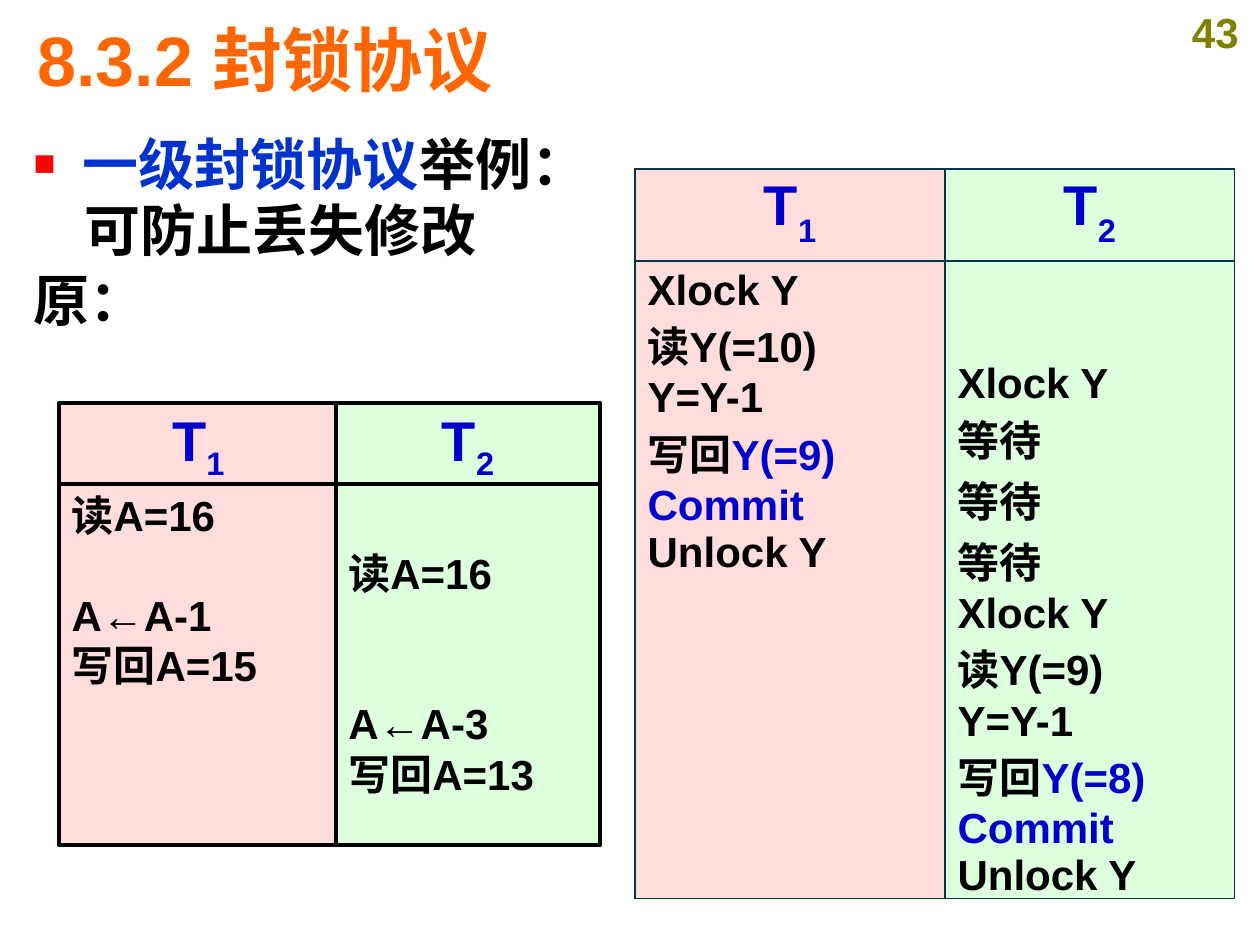
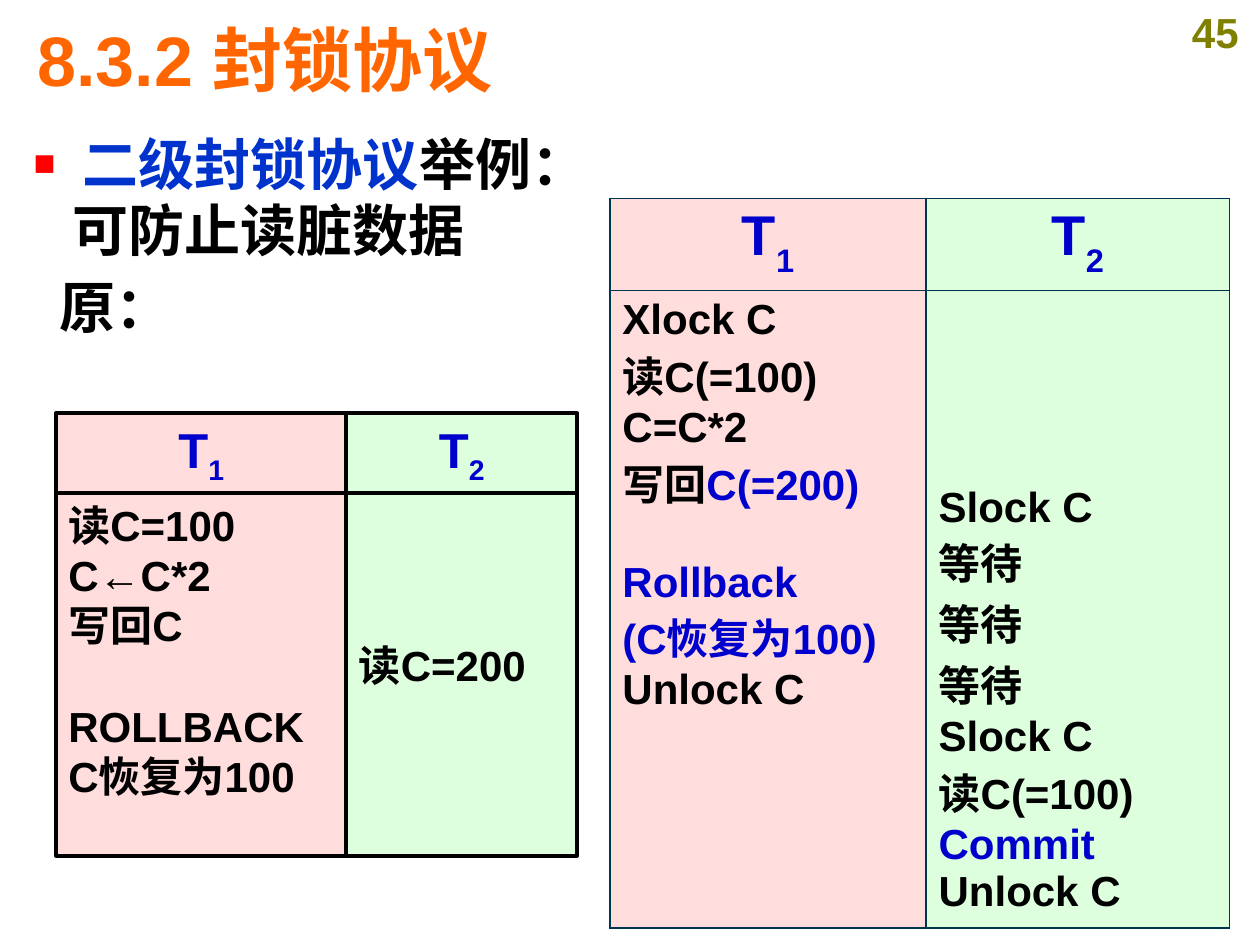
"""Build two slides comparing lost-update and dirty-read schedules with locking protocols."""
from collections import namedtuple

import pptx
import pptx.dml.color
import pptx.enum.shapes
import pptx.enum.text
import pptx.oxml
import pptx.oxml.ns
import pptx.util

Pt = pptx.util.Pt
RGBColor = pptx.dml.color.RGBColor
PP_ALIGN = pptx.enum.text.PP_ALIGN
MSO_ANCHOR = pptx.enum.text.MSO_ANCHOR

ORANGE = RGBColor(0xFF, 0x66, 0x00)
OLIVE = RGBColor(0x80, 0x80, 0x00)
ROYAL = RGBColor(0x00, 0x33, 0xCC)
BLUE = RGBColor(0x00, 0x00, 0xCC)
BLACK = RGBColor(0x00, 0x00, 0x00)
PINK = RGBColor(0xFF, 0xDD, 0xDD)
MINT = RGBColor(0xDD, 0xFF, 0xDD)
GRID = RGBColor(0x00, 0x35, 0x4E)
COLUMN_FILLS = (PINK, MINT)

Step = namedtuple("Step", "black blue gap", defaults=("", "", 0))
Point = namedtuple("Point", "text indent gap")

TITLE = "8.3.2 封锁协议"
STEP_SIZE = 24
STEP_LINE = 26.8
WAITS = [Step("等待")] * 3

SLIDES = [
    {
        "number": "43",
        "protocol": "一级封锁协议",
        "points": [Point("可防止丢失修改", 29, 6), Point("原：", 0, 8)],
        "before": {
            "top": 230.4, "head_height": 46, "body_height": 206.6, "head_size": 32,
            "columns": [(33.8, 159), (192, 151)],
            "insets": (3.6, 36.5),
            "steps": [
                [Step("读A=16"), Step("A←A-1", gap=28), Step("写回A=15")],
                [Step("读A=16"), Step("A←A-3", gap=57), Step("写回A=13")],
            ],
        },
        "locked": {
            "left": 362.9, "top": 96.5, "widths": (177.1, 165.6), "waiting_lines": (0, 2),
            "steps": [
                [Step("Xlock Y"), Step("读Y(=10)"), Step("Y=Y-1"), Step("写回", "Y(=9)"),
                 Step(blue="Commit"), Step("Unlock Y")],
                [Step("Xlock Y"), *WAITS, Step("Xlock Y"), Step("读Y(=9)"), Step("Y=Y-1"),
                 Step("写回", "Y(=8)"), Step(blue="Commit"), Step("Unlock Y")],
            ],
        },
    },
    {
        "number": "45",
        "protocol": "二级封锁协议",
        "points": [Point("可防止读脏数据", 22, 6), Point("原：", 15, 12)],
        "before": {
            "top": 236.2, "head_height": 45.4, "body_height": 207.4, "head_size": 28,
            "columns": [(32, 166), (198, 131.8)],
            "insets": (3.6, 83.6),
            "steps": [
                [Step("读C=100"), Step("C←C*2"), Step("写回C"),
                 Step("ROLLBACK", gap=28.5), Step("C恢复为100")],
                [Step("读C=200")],
            ],
        },
        "locked": {
            "left": 348.5, "top": 113.5, "widths": (180.7, 173.5), "waiting_lines": (0, 4),
            "steps": [
                [Step("Xlock C"), Step("读C(=100)"), Step("C=C*2"), Step("写回", "C(=200)"),
                 Step(blue="Rollback", gap=STEP_LINE), Step(blue="(C恢复为100)"),
                 Step("Unlock C")],
                [Step("Slock C"), *WAITS, Step("Slock C"), Step("读C(=100)"),
                 Step(blue="Commit"), Step("Unlock C")],
            ],
        },
    },
]


def add_run(paragraph, text, size, color, baseline=0):
    run = paragraph.add_run()
    run.text = text
    run.font.name = "Arial"
    run.font.size = Pt(size)
    run.font.bold = True
    run.font.color.rgb = color
    if baseline:
        run._r.get_or_add_rPr().set("baseline", str(baseline * 1000))


def next_paragraph(frame, index):
    return frame.add_paragraph() if index else frame.paragraphs[0]


def write_heading(frame, number, size, baseline):
    paragraph = frame.paragraphs[0]
    paragraph.alignment = PP_ALIGN.CENTER
    add_run(paragraph, "T", size, BLUE)
    add_run(paragraph, str(number), size, BLUE, baseline)


def write_steps(frame, steps):
    for index, step in enumerate(steps):
        paragraph = next_paragraph(frame, index)
        paragraph.alignment = PP_ALIGN.LEFT
        if step.gap:
            paragraph.space_before = Pt(step.gap)
        for text, color in ((step.black, BLACK), (step.blue, BLUE)):
            if text:
                add_run(paragraph, text, STEP_SIZE, color)


def add_text(slide, left, top, width, height, anchor=MSO_ANCHOR.TOP):
    frame = slide.shapes.add_textbox(Pt(left), Pt(top), Pt(width), Pt(height)).text_frame
    frame.word_wrap = True
    frame.vertical_anchor = anchor
    return frame


def add_points(slide, protocol, points):
    frame = add_text(slide, 12.2, 77, 342.7, 436.3)
    for index, point in enumerate([Point("", 28, 0), *points]):
        paragraph = next_paragraph(frame, index)
        paragraph.line_spacing = 0.83
        properties = paragraph._p.get_or_add_pPr()
        properties.set("marL", str(Pt(point.indent)))
        if index:
            paragraph.space_before = Pt(point.gap)
            add_run(paragraph, point.text, 32, BLACK)
            continue
        properties.set("indent", str(-Pt(point.indent)))
        namespace = pptx.oxml.ns.nsdecls("a")
        for bullet in (f'<a:buClr {namespace}><a:srgbClr val="FF0000"/></a:buClr>',
                       f'<a:buSzPct {namespace} val="65000"/>',
                       f'<a:buFont {namespace} typeface="Arial"/>',
                       f'<a:buChar {namespace} char="■"/>'):
            properties.append(pptx.oxml.parse_xml(bullet))
        add_run(paragraph, protocol, 32, ROYAL)
        add_run(paragraph, "举例：", 32, BLACK)


def add_box(slide, left, top, width, height, fill):
    box = slide.shapes.add_shape(pptx.enum.shapes.MSO_SHAPE.RECTANGLE,
                                 Pt(left), Pt(top), Pt(width), Pt(height))
    box.shadow.inherit = False
    box.fill.solid()
    box.fill.fore_color.rgb = fill
    box.line.color.rgb = BLACK
    box.line.width = Pt(2.25)
    box.text_frame.word_wrap = True
    return box.text_frame


def add_before(slide, before):
    top, head_height = before["top"], before["head_height"]
    columns = zip(before["columns"], COLUMN_FILLS, before["insets"], before["steps"])
    for number, ((left, width), fill, inset, steps) in enumerate(columns, 1):
        body = add_box(slide, left, top + head_height, width, before["body_height"], fill)
        body.vertical_anchor = MSO_ANCHOR.TOP
        body.margin_top = Pt(inset)
        write_steps(body, steps)
        head = add_box(slide, left, top, width, head_height, fill)
        head.vertical_anchor = MSO_ANCHOR.MIDDLE
        write_heading(head, number, before["head_size"], -25)


def style_cell(cell, fill):
    properties = cell._tc.get_or_add_tcPr()
    for edge in ("lnL", "lnR", "lnT", "lnB"):
        properties.append(pptx.oxml.parse_xml(
            f'<a:{edge} {pptx.oxml.ns.nsdecls("a")} w="{Pt(1)}"><a:solidFill>'
            f'<a:srgbClr val="{GRID}"/></a:solidFill></a:{edge}>'))
    cell.fill.solid()
    cell.fill.fore_color.rgb = fill


def add_locked(slide, locked):
    widths, heights = locked["widths"], (45.4, 364.3)
    table = slide.shapes.add_table(2, 2, Pt(locked["left"]), Pt(locked["top"]),
                                   Pt(sum(widths)), Pt(sum(heights))).table
    table.first_row = table.horz_banding = False
    for row, height in zip(table.rows, heights):
        row.height = Pt(height)
    for index, width in enumerate(widths):
        table.columns[index].width = Pt(width)
        head, body = table.cell(0, index), table.cell(1, index)
        for cell in (head, body):
            style_cell(cell, COLUMN_FILLS[index])
        body.margin_top = Pt(3.6 + STEP_LINE * locked["waiting_lines"][index])
        write_heading(head.text_frame, index + 1, 32, -30)
        write_steps(body.text_frame, locked["steps"][index])


def main():
    deck = pptx.Presentation()
    deck.slide_width, deck.slide_height = Pt(720), Pt(540)
    for content in SLIDES:
        slide = deck.slides.add_slide(deck.slide_layouts[6])
        number = add_text(slide, 668.9, 0, 51.1, 36).paragraphs[0]
        number.alignment = PP_ALIGN.CENTER
        add_run(number, content["number"], 24, OLIVE)
        title = add_text(slide, 14.4, 5.8, 684, 54.7, MSO_ANCHOR.MIDDLE)
        add_run(title.paragraphs[0], TITLE, 40, ORANGE)
        add_points(slide, content["protocol"], content["points"])
        add_locked(slide, content["locked"])
        add_before(slide, content["before"])
    deck.save("out.pptx")


if __name__ == "__main__":
    main()
